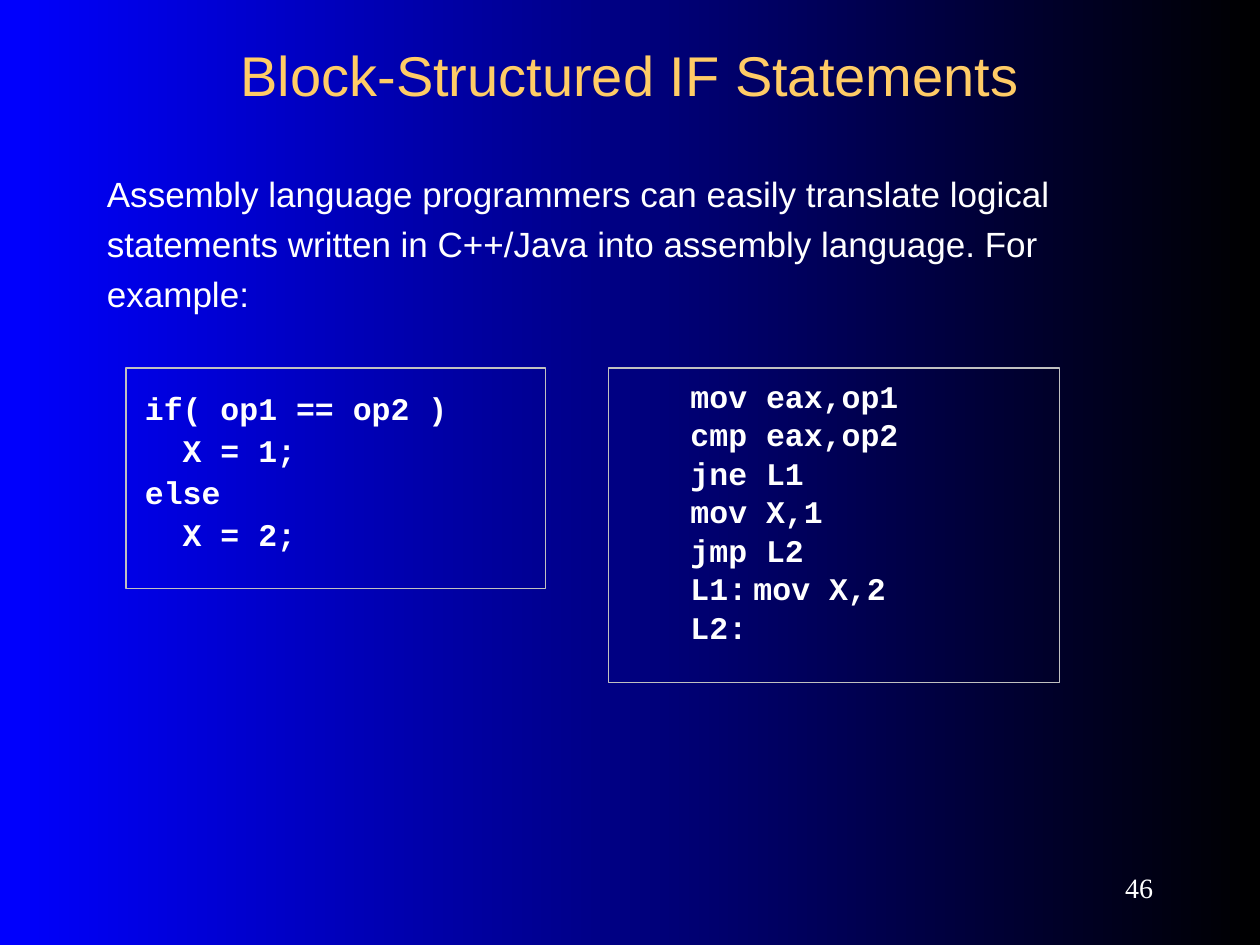
from dataclasses import dataclass

from pptx import Presentation
from pptx.dml.color import RGBColor
from pptx.enum.shapes import MSO_SHAPE
from pptx.enum.text import MSO_ANCHOR, PP_ALIGN
from pptx.oxml.ns import qn
from pptx.util import Inches, Pt
from lxml import etree

RECTANGLE = MSO_SHAPE.RECTANGLE
TOP, MIDDLE = MSO_ANCHOR.TOP, MSO_ANCHOR.MIDDLE
LEFT, CENTER, RIGHT = PP_ALIGN.LEFT, PP_ALIGN.CENTER, PP_ALIGN.RIGHT


@dataclass(frozen=True)
class Theme:
    white: RGBColor = RGBColor(255, 255, 255)
    gold: RGBColor = RGBColor(255, 204, 102)
    silver: RGBColor = RGBColor(192, 192, 192)
    black: RGBColor = RGBColor(0, 0, 0)
    blue: RGBColor = RGBColor(0, 0, 255)
    sans: str = "Arial"
    serif: str = "Times New Roman"
    mono: str = "Courier New"
    title_size: int = 32
    body_size: int = 20
    code_size: int = 18
    number_size: int = 16


THEME = Theme()

IF_CODE = ["if( op1 == op2 )", "  X = 1;", "else", "  X = 2;"]
ASSEMBLY_CODE = ["mov eax,op1", "cmp eax,op2", "jne L1", "mov X,1",
                 "jmp L2", "L1:\tmov X,2", "L2:"]


def paint_background(page):
    fill = page.background.fill
    fill.gradient()
    fill.gradient_angle = 180
    for stop, color in zip(fill.gradient_stops, (THEME.black, THEME.blue)):
        stop.color.rgb = color


def format_font(para, name, size, color, bold=False):
    for span in para.runs:
        span.font.name = name
        span.font.size = Pt(size)
        span.font.color.rgb = color
        span.font.bold = bold


def place(shape, left, top, width, height):
    shape.left, shape.top = Inches(left), Inches(top)
    shape.width, shape.height = Inches(width), Inches(height)


def set_line(shape, text, name, size, color, align, anchor):
    frame = shape.text_frame
    frame.word_wrap = True
    frame.vertical_anchor = anchor
    frame.text = text
    para = frame.paragraphs[0]
    para.alignment = align
    format_font(para, name, size, color)
    return para


def add_text(page, area, *style):
    box = page.shapes.add_textbox(*map(Inches, area))
    return set_line(box, *style)


def indent_with_tabs(para, indent, stops):
    properties = para._p.get_or_add_pPr()
    properties.set("marL", str(Inches(indent)))
    properties.set("indent", "0")
    tabs = etree.SubElement(properties, qn("a:tabLst"))
    for stop in stops:
        etree.SubElement(tabs, qn("a:tab"), pos=str(Inches(stop)), algn="l")


def add_code(page, area, lines, spacing, gap, indent=0):
    box = page.shapes.add_shape(RECTANGLE, *map(Inches, area))
    box.shadow.inherit = False
    box.fill.background()
    box.line.color.rgb = THEME.silver
    box.line.width = Pt(0.75)
    frame = box.text_frame
    frame.word_wrap = True
    frame.vertical_anchor = TOP
    frame.margin_left = frame.margin_right = Inches(0.15)
    frame.margin_top = frame.margin_bottom = Inches(0.2)
    frame.text = "\n".join(lines)
    for index, para in enumerate(frame.paragraphs):
        if indent:
            indent_with_tabs(para, indent, (0.5, 1))
        para.alignment = LEFT
        para.line_spacing = spacing
        if index:
            para.space_before = Pt(gap)
        format_font(para, THEME.mono, THEME.code_size, THEME.white, bold=True)


def main():
    deck = Presentation()
    deck.slide_width, deck.slide_height = Inches(10), Inches(7.5)
    page = deck.slides.add_slide(deck.slide_layouts[5])
    paint_background(page)

    title = page.shapes.title
    place(title, 0.75, 0.25, 8.5, 0.67)
    set_line(title, "Block-Structured IF Statements", THEME.sans,
             THEME.title_size, THEME.gold, CENTER, MIDDLE)

    intro = add_text(
        page, (0.75, 1.25, 8.5, 1.42),
        "Assembly language programmers can easily translate logical statements "
        "written in C++/Java into assembly language. For example:",
        THEME.sans, THEME.body_size, THEME.white, LEFT, TOP)
    intro.line_spacing = 1.2

    add_code(page, (4.83, 2.92, 3.58, 2.5), ASSEMBLY_CODE, 0.5, 11.2, 0.5)
    add_code(page, (1, 2.92, 3.33, 1.75), IF_CODE, 0.9, 4.5)

    add_text(page, (8.17, 6.83, 1.08, 0.42), "46", THEME.serif,
             THEME.number_size, THEME.white, RIGHT, MIDDLE)
    deck.save("out.pptx")


if __name__ == "__main__":
    main()
